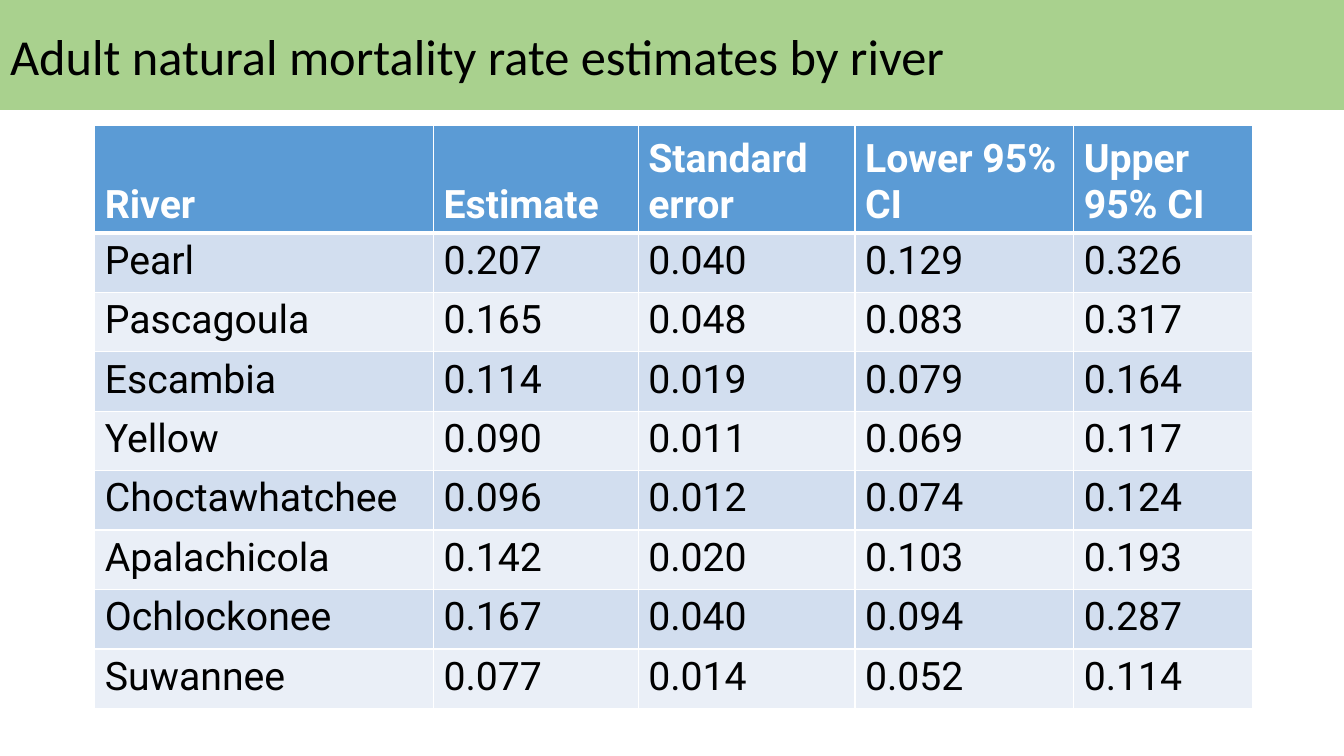
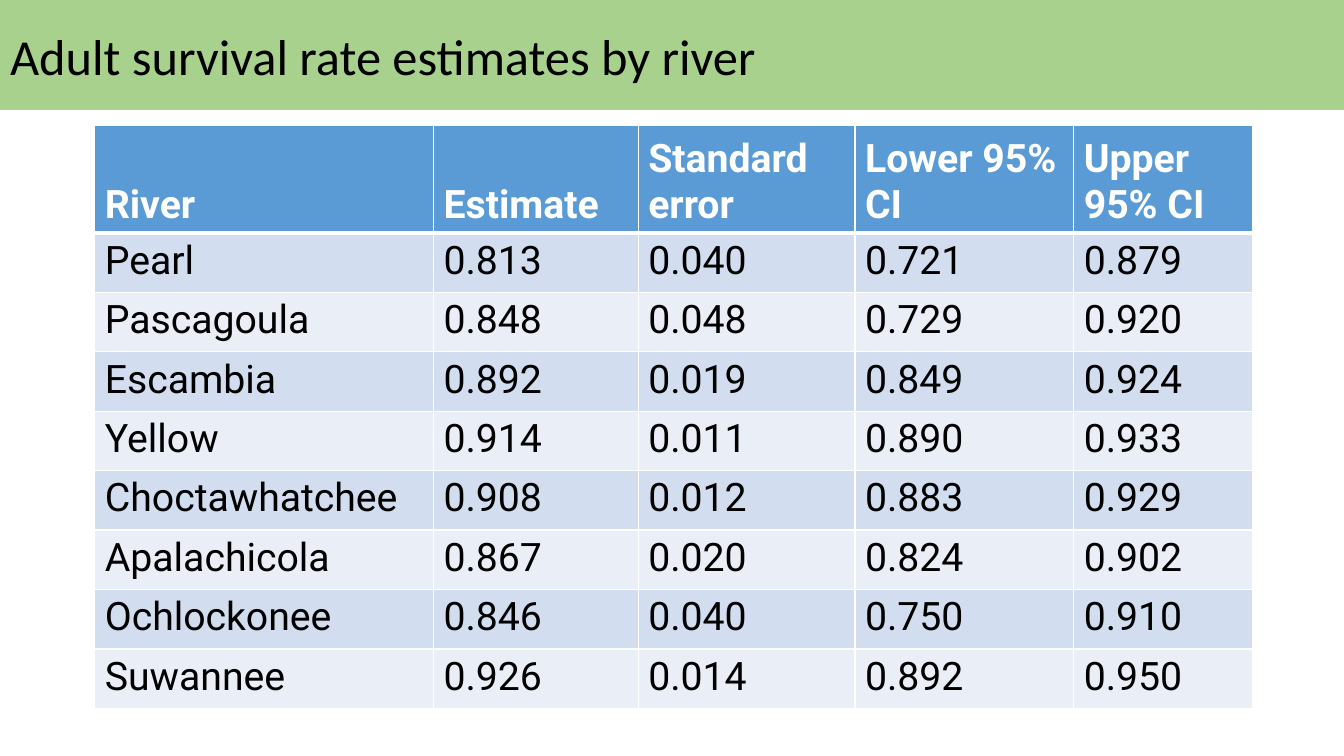
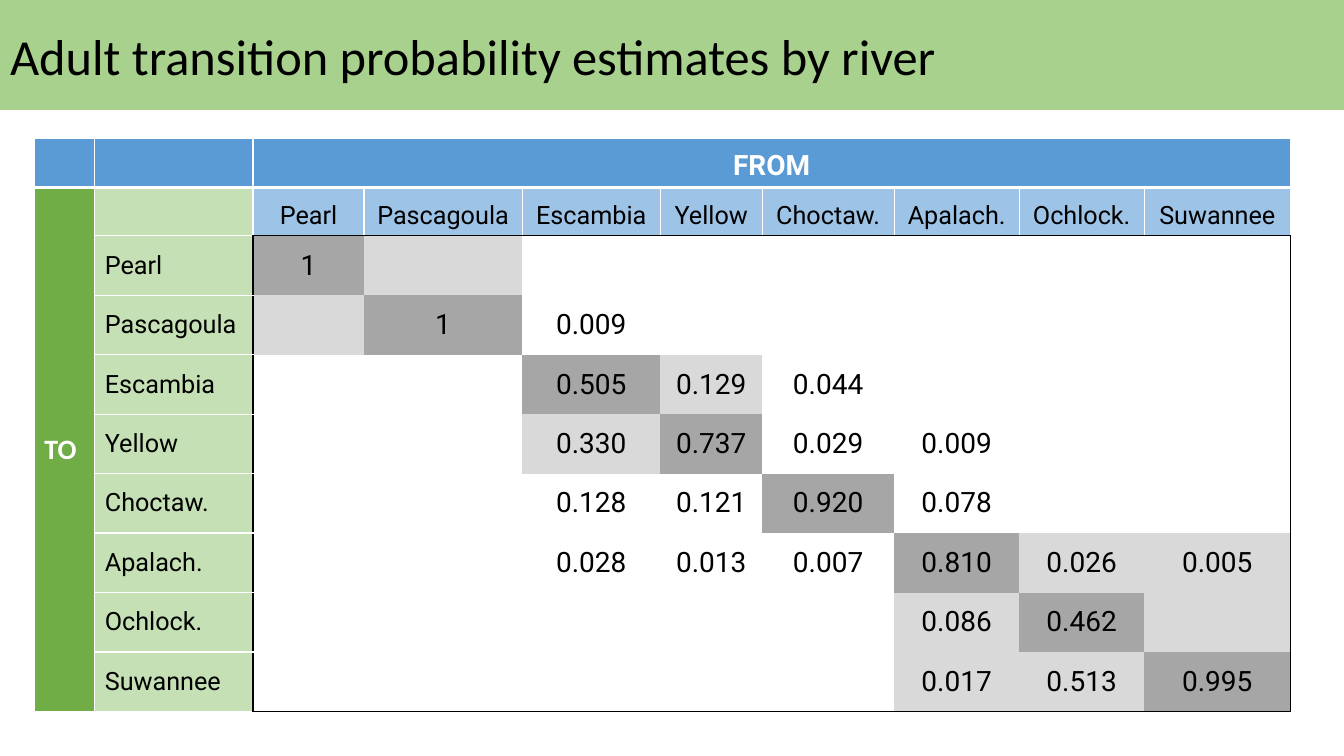
import pptx
import pptx.dml.color
import pptx.enum.text
import pptx.oxml.ns
import pptx.util
from lxml import etree

Inches = pptx.util.Inches
Pt = pptx.util.Pt
Anchor = pptx.enum.text.MSO_ANCHOR
Align = pptx.enum.text.PP_ALIGN

WHITE, BLACK = "FFFFFF", "000000"
BAND_GREEN, TO_GREEN, ROW_GREEN = "A9D18E", "70AD47", "C5E0B4"
HEADER_BLUE, COLUMN_BLUE = "5B9BD5", "9DC3E6"
STRIPES = ("D2DEEF", "EAEFF7")
DIAGONAL_GREY, GROUP_GREY = "A6A6A6", "D9D9D9"
TITLE_FONT, TABLE_FONT = "Calibri", "Roboto"

ESTIMATE_HEADERS = ("River", "Estimate", "Standard error", "Lower 95% CI", "Upper 95% CI")
MORTALITY = (
    ("Pearl", "0.207", "0.040", "0.129", "0.326"),
    ("Pascagoula", "0.165", "0.048", "0.083", "0.317"),
    ("Escambia", "0.114", "0.019", "0.079", "0.164"),
    ("Yellow", "0.090", "0.011", "0.069", "0.117"),
    ("Choctawhatchee", "0.096", "0.012", "0.074", "0.124"),
    ("Apalachicola", "0.142", "0.020", "0.103", "0.193"),
    ("Ochlockonee", "0.167", "0.040", "0.094", "0.287"),
    ("Suwannee", "0.077", "0.014", "0.052", "0.114"),
)
SURVIVAL = (
    ("Pearl", "0.813", "0.040", "0.721", "0.879"),
    ("Pascagoula", "0.848", "0.048", "0.729", "0.920"),
    ("Escambia", "0.892", "0.019", "0.849", "0.924"),
    ("Yellow", "0.914", "0.011", "0.890", "0.933"),
    ("Choctawhatchee", "0.908", "0.012", "0.883", "0.929"),
    ("Apalachicola", "0.867", "0.020", "0.824", "0.902"),
    ("Ochlockonee", "0.846", "0.040", "0.750", "0.910"),
    ("Suwannee", "0.926", "0.014", "0.892", "0.950"),
)
# Each river with the number of its shaded group and its row of probabilities.
TRANSITIONS = (
    ("Pearl", 0, ("1", "", "", "", "", "", "", "")),
    ("Pascagoula", 0, ("", "1", "0.009", "", "", "", "", "")),
    ("Escambia", 1, ("", "", "0.505", "0.129", "0.044", "", "", "")),
    ("Yellow", 1, ("", "", "0.330", "0.737", "0.029", "0.009", "", "")),
    ("Choctaw.", 2, ("", "", "0.128", "0.121", "0.920", "0.078", "", "")),
    ("Apalach.", 3, ("", "", "0.028", "0.013", "0.007", "0.810", "0.026", "0.005")),
    ("Ochlock.", 3, ("", "", "", "", "", "0.086", "0.462", "")),
    ("Suwannee", 3, ("", "", "", "", "", "0.017", "0.513", "0.995")),
)


def color(value):
    return pptx.dml.color.RGBColor.from_string(value)


def edges(base=WHITE, **changes):
    """Return (colour, points) for the sides L, R, T and B; None means no line."""
    sides = {side: (base, 1) if base else None for side in "LRTB"}
    return {**sides, **changes}


class Deck:
    """Holds the shared style and the slide being filled."""

    def __init__(self):
        self.presentation = pptx.Presentation()
        self.presentation.slide_width = Inches(13.33)
        self.presentation.slide_height = Inches(7.5)
        self.slide = None

    def add_slide(self, title):
        self.slide = self.presentation.slides.add_slide(self.presentation.slide_layouts[5])
        band = self.slide.shapes.title
        band.left, band.top, band.width, band.height = 0, 0, Inches(13.33), Inches(1.09)
        band.fill.solid()
        band.fill.fore_color.rgb = color(BAND_GREEN)
        band.text_frame.auto_size = pptx.enum.text.MSO_AUTO_SIZE.NONE
        band.text_frame.vertical_anchor = Anchor.MIDDLE
        self.set_text(band.text_frame, title, 36, font=TITLE_FONT)

    def set_text(self, text_frame, text, size, ink=BLACK, bold=False, align=Align.LEFT,
                 font=TABLE_FONT):
        text_frame.text = text
        paragraph = text_frame.paragraphs[0]
        paragraph.alignment = align
        for run in paragraph.runs:
            run.font.name = font
            run.font.size = Pt(size)
            run.font.bold = bold
            run.font.color.rgb = color(ink)

    def add_table(self, left, top, widths, heights):
        frame = self.slide.shapes.add_table(
            len(heights), len(widths), Inches(left), Inches(top),
            Inches(sum(widths)), Inches(sum(heights)))
        table = frame.table
        table.first_row = table.horz_banding = False
        for column, width in zip(table.columns, widths):
            column.width = Inches(width)
        for row, height in zip(table.rows, heights):
            row.height = Inches(height)
        return table

    def fill_cell(self, cell, text, fill, borders, size, anchor=Anchor.MIDDLE, **style):
        self.set_text(cell.text_frame, text, size, **style)
        cell.vertical_anchor = anchor
        self.set_borders(cell, borders)
        cell.fill.solid()
        cell.fill.fore_color.rgb = color(fill)

    def set_borders(self, cell, borders):
        qualified = pptx.oxml.ns.qn
        properties = cell._tc.get_or_add_tcPr()
        for side, border in borders.items():
            line = etree.SubElement(properties, qualified("a:ln" + side))
            if border is None:
                etree.SubElement(line, qualified("a:noFill"))
                continue
            ink, width = border
            line.set("w", str(Pt(width)))
            solid = etree.SubElement(line, qualified("a:solidFill"))
            etree.SubElement(solid, qualified("a:srgbClr")).set("val", ink)

    def add_estimates(self, rows):
        table = self.add_table(0.94, 1.24, (3.36, 2.03, 2.15, 2.17, 1.77),
                               [1.07] + [0.59] * len(rows))
        for column, text in enumerate(ESTIMATE_HEADERS):
            self.fill_cell(table.cell(0, column), text, HEADER_BLUE, edges(B=(WHITE, 3)),
                           28, Anchor.BOTTOM, ink=WHITE, bold=True)
        for index, values in enumerate(rows):
            borders = edges(T=(WHITE, 1 if index else 3))
            for column, text in enumerate(values):
                self.fill_cell(table.cell(index + 1, column), text, STRIPES[index % 2],
                               borders, 28, Anchor.TOP)

    def add_transitions(self, rivers):
        """Draw the matrix: dark diagonal, light cells within a group, black frame."""
        table = self.add_table(
            0.34, 1.37, (0.6, 1.57, 1.1, 1.57, 1.37, 1.01, 1.31, 1.24, 1.24, 1.45),
            [0.49, 0.48] + [0.59] * len(rivers))
        last = len(rivers) - 1
        frame, thick = (BLACK, 1), (WHITE, 3)
        heading = {"ink": WHITE, "bold": True}

        table.cell(0, 2).merge(table.cell(0, last + 2))
        table.cell(1, 0).merge(table.cell(last + 2, 0))
        for column, text in enumerate(("", "", "FROM")):
            self.fill_cell(table.cell(0, column), text, HEADER_BLUE, edges(B=thick), 20,
                           Anchor.BOTTOM, align=Align.CENTER, **heading)
        self.fill_cell(table.cell(1, 0), "TO", TO_GREEN, edges(T=thick), 20,
                       font=TITLE_FONT, **heading)
        self.fill_cell(table.cell(1, 1), "", ROW_GREEN, edges(T=thick), 18)

        for row, (river, group, values) in enumerate(rivers):
            self.fill_cell(table.cell(1, row + 2), river, COLUMN_BLUE,
                           edges(T=thick, B=frame), 18, Anchor.BOTTOM, align=Align.CENTER)
            self.fill_cell(table.cell(row + 2, 1), river, ROW_GREEN, edges(R=frame), 18)
            for column, text in enumerate(values):
                same_group = rivers[column][1] == group
                fill = DIAGONAL_GREY if row == column else GROUP_GREY if same_group else WHITE
                outer = {"L": column == 0, "R": column == last, "T": row == 0, "B": row == last}
                borders = edges(None, **{side: frame for side, on in outer.items() if on})
                self.fill_cell(table.cell(row + 2, column + 2), text, fill, borders, 20,
                               align=Align.CENTER)


def main():
    deck = Deck()
    deck.add_slide("Adult natural mortality rate estimates by river")
    deck.add_estimates(MORTALITY)
    deck.add_slide("Adult survival rate estimates by river")
    deck.add_estimates(SURVIVAL)
    deck.add_slide("Adult transition probability estimates by river")
    deck.add_transitions(TRANSITIONS)
    deck.presentation.save("out.pptx")


if __name__ == "__main__":
    main()
